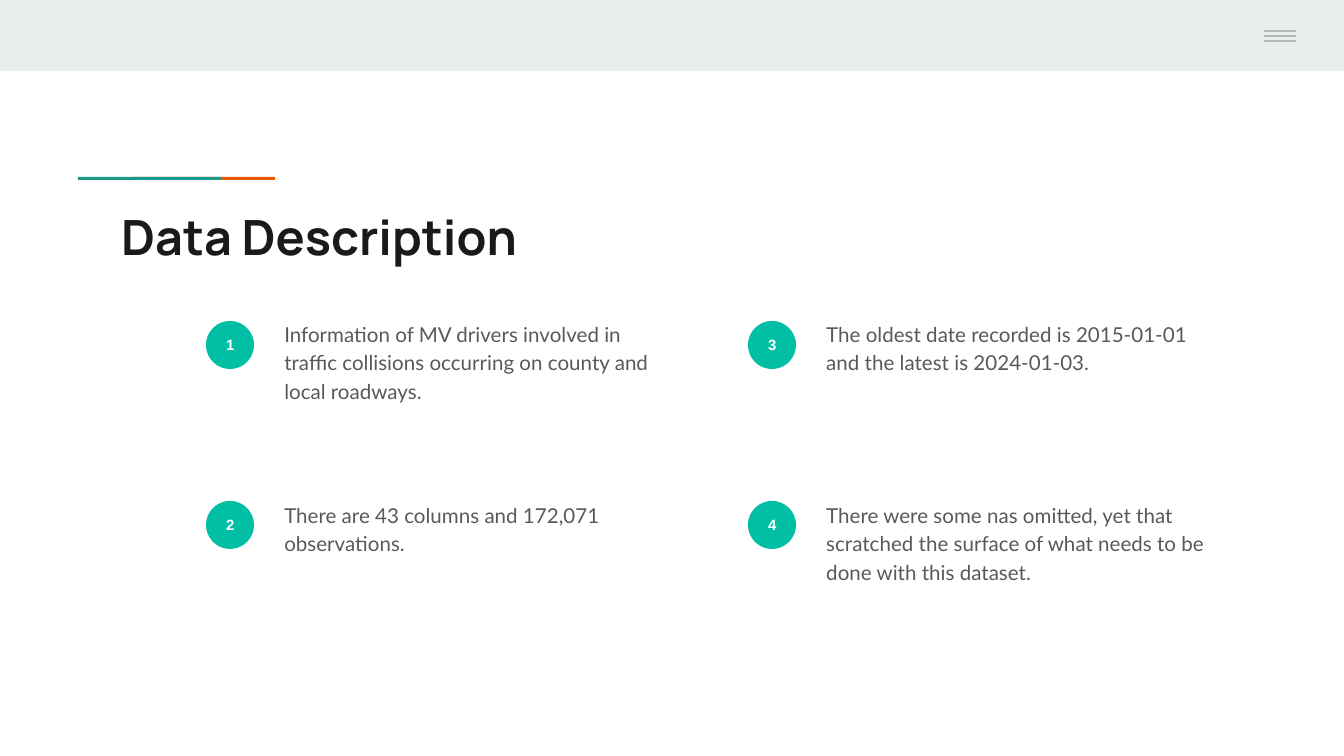
from dataclasses import dataclass

import pptx
import pptx.dml.color
import pptx.enum.shapes
import pptx.enum.text
import pptx.oxml.ns
import pptx.slide
import pptx.util
from lxml import etree

SLIDE_WIDTH, SLIDE_HEIGHT = 1344, 756
EMU_PER_PX = 9144000 / SLIDE_WIDTH
SHAPES = pptx.enum.shapes.MSO_SHAPE
ALIGN = pptx.enum.text.PP_ALIGN
ANCHOR = pptx.enum.text.MSO_ANCHOR


@dataclass(frozen=True)
class Area:
    left: int
    top: int
    width: int
    height: int


@dataclass(frozen=True)
class TextStyle:
    font: str
    size: int
    color: str
    bold: bool = False
    align: ALIGN = ALIGN.LEFT
    anchor: ANCHOR = ANCHOR.TOP
    line_spacing: float = 1.0
    space_after: int = 0


@dataclass(frozen=True)
class Fact:
    number: int
    column: int
    row: int
    text: str


TITLE = TextStyle("Manrope", 26, "1A1A1A", bold=True)
BADGE = TextStyle("Arial", 8, "FFFFFF", bold=True, align=ALIGN.CENTER, anchor=ANCHOR.MIDDLE)
BODY = TextStyle("Lato", 11, "595959", line_spacing=1.15, space_after=16)

COLUMN_STEP = 542
BADGE_ROW_STEP = 180
BODY_ROW_STEP = 181

FACTS = [
    Fact(1, 0, 0, "Information of MV drivers involved in traffic collisions "
                  "occurring on county and local roadways."),
    Fact(2, 0, 1, "There are 43 columns and 172,071 observations."),
    Fact(3, 1, 0, "The oldest date recorded is 2015-01-01 and the latest is 2024-01-03."),
    Fact(4, 1, 1, "There were some nas omitted, yet that scratched the surface "
                  "of what needs to be done with this dataset."),
]


def px(length: int) -> pptx.util.Emu:
    return pptx.util.Emu(round(length * EMU_PER_PX))


def rgb(color: str) -> pptx.dml.color.RGBColor:
    return pptx.dml.color.RGBColor.from_string(color)


def place(area: Area) -> tuple:
    return px(area.left), px(area.top), px(area.width), px(area.height)


def write_text(shape, text: str, style: TextStyle) -> None:
    frame = shape.text_frame
    frame.text = text
    frame.word_wrap = True
    frame.vertical_anchor = style.anchor
    frame.margin_left = frame.margin_right = pptx.util.Inches(0.1)
    frame.margin_top = frame.margin_bottom = pptx.util.Inches(0.1)
    para = frame.paragraphs[0]
    para.alignment = style.align
    para.line_spacing = style.line_spacing
    para.space_after = pptx.util.Pt(style.space_after)
    for span in para.runs:
        span.font.name = style.font
        span.font.size = pptx.util.Pt(style.size)
        span.font.bold = style.bold
        span.font.color.rgb = rgb(style.color)


def add_filled(page: pptx.slide.Slide, kind: SHAPES, area: Area, color: str):
    shape = page.shapes.add_shape(kind, *place(area))
    shape.shadow.inherit = False
    shape.fill.solid()
    shape.fill.fore_color.rgb = rgb(color)
    shape.line.fill.background()
    return shape


def add_text(page: pptx.slide.Slide, area: Area, text: str, style: TextStyle) -> None:
    box = page.shapes.add_textbox(*place(area))
    write_text(box, text, style)


def add_menu_line(page: pptx.slide.Slide, top: int) -> None:
    line = page.shapes.add_connector(
        pptx.enum.shapes.MSO_CONNECTOR.STRAIGHT, px(1264), px(top), px(1296), px(top))
    line.line.color.rgb = rgb("B7B7B7")
    line.line.width = pptx.util.Pt(0.75)
    etree.SubElement(line._element.spPr, pptx.oxml.ns.qn("a:effectLst"))


def add_fact(page: pptx.slide.Slide, fact: Fact) -> None:
    shift = fact.column * COLUMN_STEP
    badge_area = Area(206 + shift, 321 + fact.row * BADGE_ROW_STEP, 48, 48)
    badge = add_filled(page, SHAPES.OVAL, badge_area, "00BFA5")
    write_text(badge, str(fact.number), BADGE)
    body_area = Area(271 + shift, 305 + fact.row * BODY_ROW_STEP, 417, 155)
    add_text(page, body_area, fact.text, BODY)


def main() -> None:
    deck = pptx.Presentation()
    deck.slide_width = px(SLIDE_WIDTH)
    deck.slide_height = px(SLIDE_HEIGHT)
    page = deck.slides.add_slide(deck.slide_layouts[6])

    add_filled(page, SHAPES.RECTANGLE, Area(0, 0, SLIDE_WIDTH, 71), "E9EDEE")
    add_filled(page, SHAPES.RECTANGLE, Area(133, 177, 142, 3), "EB5600")
    add_filled(page, SHAPES.RECTANGLE, Area(78, 177, 143, 3), "1A9988")
    add_filled(page, SHAPES.RECTANGLE, Area(1218, 0, 126, 67), "E9EDEE")
    for top in (31, 36, 41):
        add_menu_line(page, top)

    add_text(page, Area(108, 194, 1130, 79), "Data Description", TITLE)
    for fact in FACTS:
        add_fact(page, fact)

    deck.save("out.pptx")


if __name__ == "__main__":
    main()
